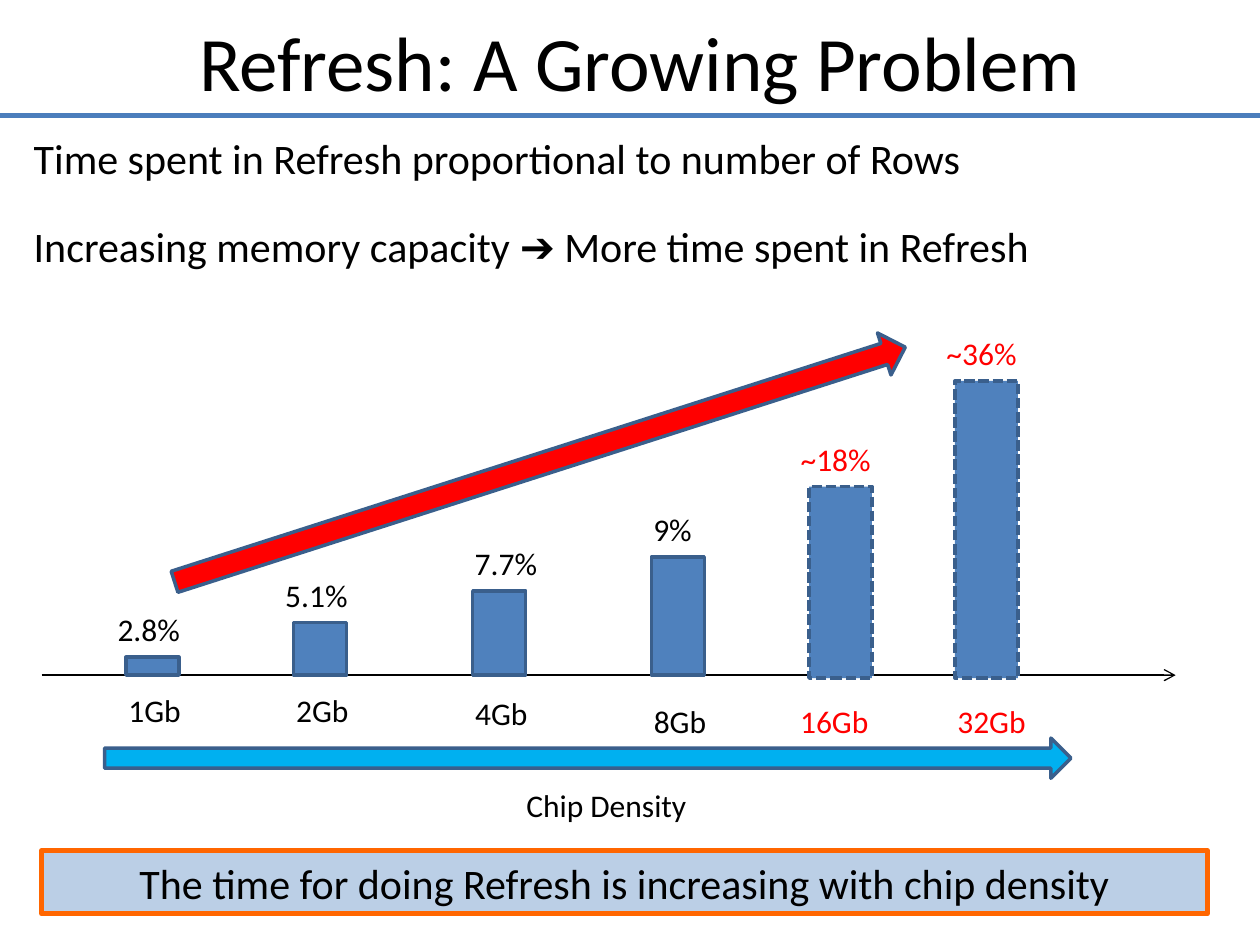
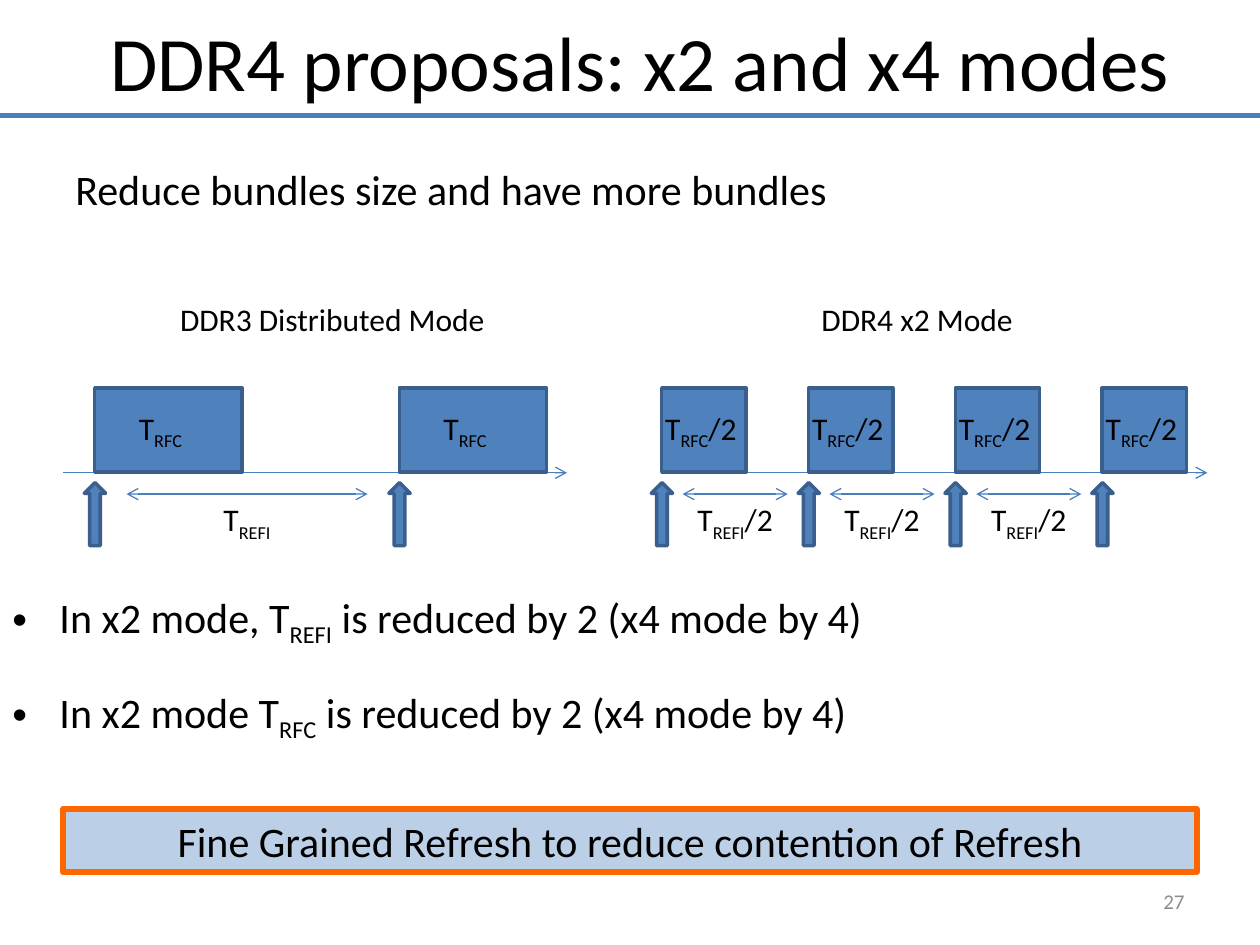
from lxml.etree import SubElement
from pptx import Presentation
from pptx.dml.color import RGBColor
from pptx.enum.dml import MSO_LINE
from pptx.enum.shapes import MSO_CONNECTOR, MSO_SHAPE
from pptx.enum.text import MSO_ANCHOR, PP_ALIGN
from pptx.oxml.ns import qn
from pptx.util import Cm, Pt

COLORS = {
    "text": "000000",
    "projected": "FF0000",
    "bar": "4F81BD",
    "outline": "3A5F8C",
    "rule": "4B7EBC",
    "density": "00B0F0",
    "banner": "BBCFE6",
    "banner_edge": "FF6600",
    "page": "8C8C8C",
}
FONT = "Calibri"
TITLE_ONLY = 5


def rgb(name):
    """Return the palette colour called name."""
    return RGBColor.from_string(COLORS[name])


def write(frame, lines, size=18, color="text", align=PP_ALIGN.LEFT, gap=0, bullet=False):
    """Write one paragraph per line; text between underscores becomes subscript."""
    frame.word_wrap = True
    for index, line in enumerate(lines):
        paragraph = frame.add_paragraph() if index else frame.paragraphs[0]
        parts = line.split("_")
        paragraph.text = parts[0]
        for part in parts[1:]:
            paragraph.add_run().text = part
        paragraph.alignment = align
        if index:
            paragraph.space_before = Pt(gap)
        if bullet:
            properties = paragraph._p.get_or_add_pPr()
            properties.set("marL", str(Cm(0.95)))
            properties.set("indent", str(Cm(-0.95)))
            SubElement(properties, qn("a:buFont")).set("typeface", "Arial")
            SubElement(properties, qn("a:buChar")).set("char", "•")
        for position, run in enumerate(paragraph.runs):
            run.font.name = FONT
            run.font.size = Pt(size)
            run.font.color.rgb = rgb(color)
            if position % 2:
                run._r.get_or_add_rPr().set("baseline", "-25000")


def add_text(slide, left, top, width, height, lines, **style):
    """Add a text box and return its text frame."""
    frame = slide.shapes.add_textbox(Cm(left), Cm(top), Cm(width), Cm(height)).text_frame
    write(frame, lines, **style)
    return frame


def add_block(slide, kind, left, top, width, height, fill="bar", edge="outline", weight=2):
    """Add a flat filled shape with an outline."""
    block = slide.shapes.add_shape(kind, Cm(left), Cm(top), Cm(width), Cm(height))
    block.shadow.inherit = False
    block.fill.solid()
    block.fill.fore_color.rgb = rgb(fill)
    block.line.color.rgb = rgb(edge)
    block.line.width = Pt(weight)
    return block


def add_rule(slide, start, end, y, color="rule", weight=0.75, arrows=()):
    """Add a horizontal line with open arrowheads at the ends named in arrows."""
    rule = slide.shapes.add_connector(MSO_CONNECTOR.STRAIGHT, Cm(start), Cm(y), Cm(end), Cm(y))
    rule.line.color.rgb = rgb(color)
    rule.line.width = Pt(weight)
    outline = rule.line._get_or_add_ln()
    for end_name in arrows:
        SubElement(outline, qn(f"a:{end_name}")).set("type", "arrow")
    SubElement(rule._element.spPr, qn("a:effectLst"))


def add_titled_slide(deck, heading):
    """Add a slide with the shared title style and the rule beneath it."""
    slide = deck.slides.add_slide(deck.slide_layouts[TITLE_ONLY])
    title = slide.shapes.title
    title.left, title.top, title.width, title.height = Cm(1.69), Cm(0), Cm(22.43), Cm(2.44)
    write(title.text_frame, [heading], size=44, align=PP_ALIGN.CENTER)
    title.text_frame.vertical_anchor = MSO_ANCHOR.MIDDLE
    add_rule(slide, 0, 25.4, 2.33, weight=3)
    return slide


def add_banner(slide, left, top, width, message):
    """Add the takeaway banner."""
    banner = add_block(slide, MSO_SHAPE.RECTANGLE, left, top, width, 1.27,
                       "banner", "banner_edge", 3)
    write(banner.text_frame, [message], size=24, align=PP_ALIGN.CENTER)


def add_density_bars(slide, left, top, width):
    """Draw refresh time by chip density, with trend and density arrows."""
    axis = top + 7.01
    add_rule(slide, left, left + width, axis, color="text", arrows=["tailEnd"])
    densities = [
        ("1Gb", "2.8%", 1.7, 0.36, 0.42, 0.2, 0.2),
        ("2Gb", "5.1%", 5.08, 1.06, 0.42, 0.2, 0.2),
        ("4Gb", "7.7%", 8.69, 1.7, 0.21, 0.2, 0.25),
        ("8Gb", "9%", 12.29, 2.38, 0.21, 0.2, 0.41),
        ("16Gb", "~18%", 15.47, 3.86, 0.42, 0.43, 0.41),
        ("32Gb", "~36%", 18.41, 5.99, 0.42, 0.2, 0.41),
    ]
    for capacity, share, offset, height, share_shift, capacity_shift, drop in densities:
        projected = share.startswith("~")
        color = "projected" if projected else "text"
        base = axis + (0.06 if projected else 0)
        start = left + offset
        bar = add_block(slide, MSO_SHAPE.RECTANGLE, start, base - height,
                        1.27 if projected else 1.07, height)
        if projected:
            bar.line.dash_style = MSO_LINE.SQUARE_DOT
        add_text(slide, start - share_shift, base - height - 1.07, 2.1, 1, [share], color=color)
        add_text(slide, start - capacity_shift, axis + drop, 2.1, 1, [capacity], color=color)
    add_block(slide, MSO_SHAPE.RIGHT_ARROW, left + 1.27, top + 8.28, 19.48, 0.81, "density")
    trend = add_block(slide, MSO_SHAPE.RIGHT_ARROW, left + 2.31, top + 2.32, 15.47, 0.89,
                      "projected")
    trend.rotation = -17.8
    add_text(slide, left + 9.52, top + 9.12, 4.2, 1, ["Chip Density"])


def add_timeline(slide, left, top, width, mode, mode_left, first, period, count,
                 pulse_width, inset, label_shift, divisor=""):
    """Draw evenly spaced refresh pulses on a time axis, with their intervals."""
    add_text(slide, left + mode_left, top, 7, 1, [mode])
    add_rule(slide, left, left + width, top + 3.61, arrows=["tailEnd"])
    for index in range(count):
        start = left + first + index * period
        pulse = add_block(slide, MSO_SHAPE.RECTANGLE, start, top + 1.9, pulse_width, 1.7)
        frame = pulse.text_frame
        frame.margin_left, frame.margin_right = Cm(0), Cm(2 * label_shift)
        write(frame, [f"T_RFC_{divisor}"], align=PP_ALIGN.CENTER)
        add_block(slide, MSO_SHAPE.UP_ARROW, start - 0.21, top + 3.81, 0.43, 1.27)
        if index < count - 1:
            add_rule(slide, start + inset, start + period - inset, top + 4.04,
                     arrows=["headEnd", "tailEnd"])
            add_text(slide, start + period / 2 - 1.1, top + 4.04, 2.2, 1,
                     [f"T_REFI_{divisor}"], align=PP_ALIGN.CENTER)


def build_growth_slide(deck):
    """Build the slide on refresh time growing with density."""
    slide = add_titled_slide(deck, "Refresh: A Growing Problem")
    add_text(slide, 0.43, 2.54, 24.55, 3.12, [
        "Time spent in Refresh proportional to number of Rows",
        "Increasing memory capacity ➔ More time spent in Refresh",
    ], size=24, gap=21.6)
    add_density_bars(slide, 0.84, 6.6, 22.86)
    add_banner(slide, 0.84, 17.15, 23.5, "The time for doing Refresh is increasing with chip density")


def build_modes_slide(deck):
    """Build the slide comparing the refresh modes."""
    slide = add_titled_slide(deck, "DDR4 proposals: x2 and x4 modes")
    add_text(slide, 1.27, 3.18, 22.86, 2.54, ["Reduce bundles size and have more bundles"], size=24)
    add_timeline(slide, 1.27, 5.92, 10.16, "DDR3 Distributed Mode", 2.11, first=0.64,
                 period=6.14, count=2, pulse_width=2.97, inset=0.64, label_shift=0.16)
    add_timeline(slide, 13.34, 5.92, 11, "DDR4 x2 Mode", 2.97, first=0, period=2.96,
                 count=4, pulse_width=1.7, inset=0.42, label_shift=0.06, divisor="/2")
    add_text(slide, 0, 11.79, 25.4, 3.3, [
        "In x2 mode, T_REFI_ is reduced by 2 (x4 mode by 4)",
        "In x2 mode T_RFC_ is reduced by 2 (x4 mode by 4)",
    ], size=24, gap=21.6, bullet=True)
    add_banner(slide, 1.27, 16.31, 22.86, "Fine Grained Refresh to reduce contention of Refresh")
    page = add_text(slide, 18.21, 17.65, 5.92, 1.02, ["27"], size=12, color="page",
                    align=PP_ALIGN.RIGHT)
    page.vertical_anchor = MSO_ANCHOR.MIDDLE


def main():
    """Build and save the deck."""
    deck = Presentation()
    deck.slide_width, deck.slide_height = Cm(25.4), Cm(19.05)
    build_growth_slide(deck)
    build_modes_slide(deck)
    deck.save("out.pptx")


if __name__ == "__main__":
    main()
